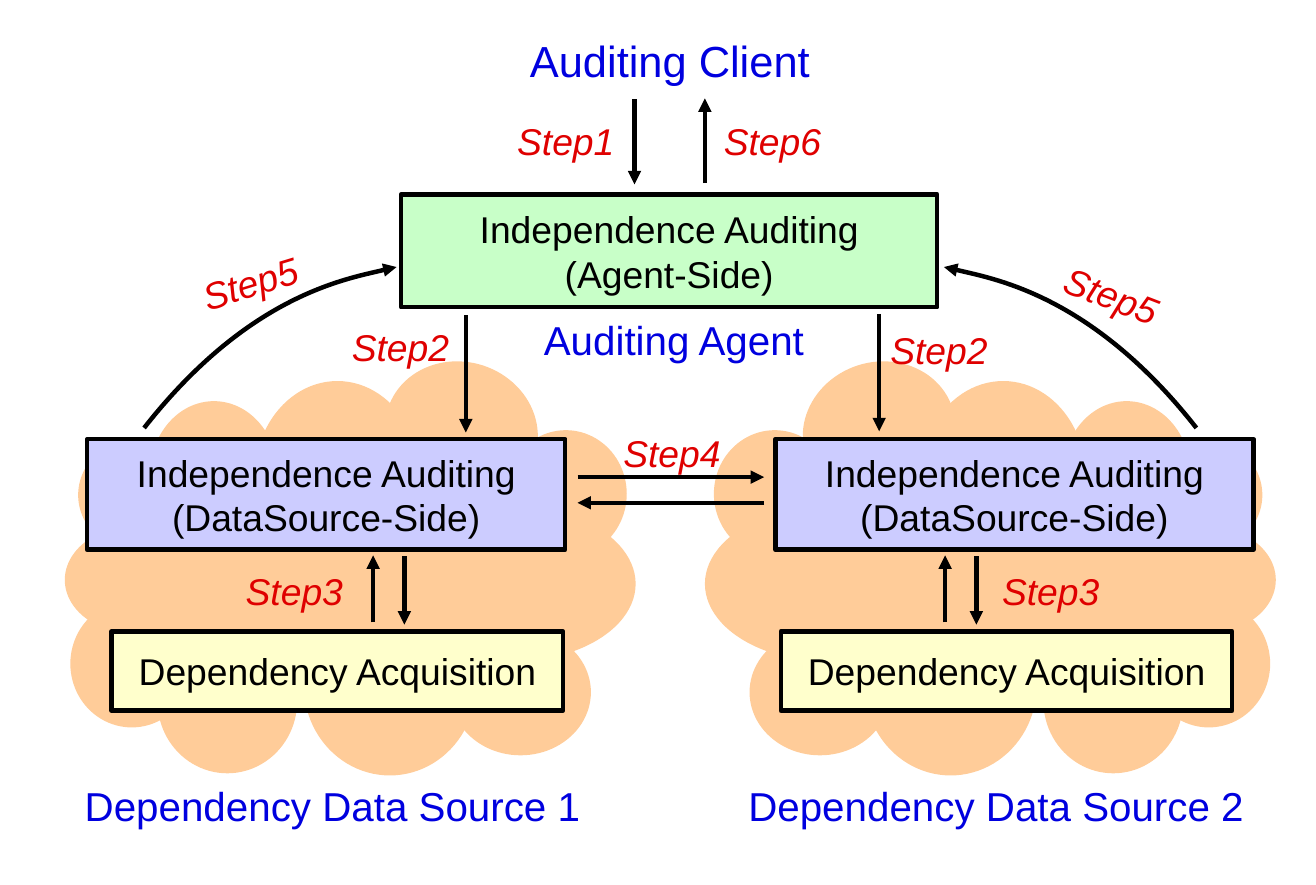
from lxml import etree
from pptx import Presentation
from pptx.dml.color import RGBColor
from pptx.enum.shapes import MSO_CONNECTOR, MSO_SHAPE
from pptx.enum.text import MSO_ANCHOR, PP_ALIGN
from pptx.oxml.ns import qn
from pptx.util import Inches, Pt

STRAIGHT = MSO_CONNECTOR.STRAIGHT
OVAL, RECTANGLE = MSO_SHAPE.OVAL, MSO_SHAPE.RECTANGLE
CENTER, MIDDLE = PP_ALIGN.CENTER, MSO_ANCHOR.MIDDLE

# Every length below counts square grid cells.
CELL = Inches(0.1)
COLUMNS, ROWS = 117.8, 79.2
MIRROR = 120  # left + right column of any mirrored pair

THEME = {
    "font": "Arial",
    "cloud": RGBColor.from_string("FFCC99"),
    "agent": RGBColor.from_string("C8FFC8"),
    "source": RGBColor.from_string("CCCCFF"),
    "acquisition": RGBColor.from_string("FFFFCC"),
    "line": RGBColor.from_string("000000"),
    "line_width": Pt(2.89),
    # text role: size, colour, italic
    "box": (24, RGBColor.from_string("000000"), False),
    "step": (24, RGBColor.from_string("DF0000"), True),
    "client": (28, RGBColor.from_string("0000DF"), False),
    "place": (26, RGBColor.from_string("0000DF"), False),
}


def write_text(shape, text, role):
    size, color, italic = THEME[role]
    shape.text_frame.text = text
    for paragraph in shape.text_frame.paragraphs:
        paragraph.alignment = CENTER
        for run in paragraph.runs:
            run.font.name = THEME["font"]
            run.font.size = Pt(size)
            run.font.italic = italic
            run.font.color.rgb = color


def style_arrow(shape):
    """Give an open line its stroke, an arrowhead at its end and no shadow."""
    shape.line.color.rgb = THEME["line"]
    shape.line.width = THEME["line_width"]
    properties = shape.element.spPr
    etree.SubElement(properties.find(qn("a:ln")), qn("a:tailEnd"), type="triangle")
    etree.SubElement(properties, qn("a:effectLst"))


presentation = Presentation()
presentation.slide_width = round(CELL * COLUMNS)
presentation.slide_height = round(CELL * ROWS)
slide = presentation.slides.add_slide(presentation.slide_layouts[6])

# Clouds: left, top, width, height, rotation of each puff
puffs = [
    (34.8, 45.3, 22.1, 13.9, 0), (22.8, 34.1, 14.8, 17.2, 0),
    (13.4, 35.9, 11.5, 13.3, 0), (27.2, 53.3, 15.4, 16.1, 0),
    (6.3, 53.7, 11, 11.4, 0), (14.1, 56.3, 12.5, 12.9, 180),
    (34.4, 32.4, 13.8, 12.5, 197.9), (5.8, 47.1, 12.5, 9.6, 0),
    (7, 39.5, 9.6, 9.6, 0), (16.4, 45.8, 24.6, 16.1, 0),
    (40.3, 56.3, 12.6, 11.3, 0), (14.7, 52, 8.4, 7.1, 0),
    (24.7, 41.4, 24.6, 16.1, 0), (45.2, 38.5, 10.9, 11.4, 0),
    (10.3, 46.7, 12.5, 9.6, 0),
]
for mirrored in (False, True):
    cloud = slide.shapes.add_group_shape()
    for left, top, width, height, rotation in puffs:
        if mirrored:
            left, rotation = MIRROR - left - width, -rotation
        bounds = [round(CELL * n) for n in (left, top, width, height)]
        puff = cloud.shapes.add_shape(OVAL, *bounds)
        puff.rotation = rotation
        puff.shadow.inherit = False
        puff.fill.solid()
        puff.fill.fore_color.rgb = THEME["cloud"]
        puff.line.fill.background()

# Boxes: text, fill, left, top, width, height
boxes = [
    ("Independence Auditing\n(Agent-Side)", "agent", 35.9, 17.4, 48, 10.1),
    ("Independence Auditing\n(DataSource-Side)", "source", 7.8, 39.3, 42.8, 9.9),
    ("Independence Auditing\n(DataSource-Side)", "source", 69.4, 39.3, 42.8, 9.9),
    ("Dependency Acquisition", "acquisition", 10, 56.5, 40.4, 7.1),
    ("Dependency Acquisition", "acquisition", 69.9, 56.5, 40.4, 7.1),
]
for text, fill, *cells in boxes:
    box = slide.shapes.add_shape(RECTANGLE, *[round(CELL * n) for n in cells])
    box.shadow.inherit = False
    box.fill.solid()
    box.fill.fore_color.rgb = THEME[fill]
    box.line.color.rgb = THEME["line"]
    box.line.width = THEME["line_width"]
    box.text_frame.vertical_anchor = MIDDLE
    write_text(box, text, "box")

# Straight arrows: start column, start row, tip column, tip row
arrows = [
    (56.8, 8.9, 56.8, 16.5), (63.1, 16.4, 63.1, 8.8),
    (41.7, 28.2, 41.7, 38.7), (78.7, 28.1, 78.7, 38.6),
    (51.7, 42.7, 68.4, 42.7), (68.4, 45, 51.7, 45),
]
for up_column in (33.4, 84.6):
    down_column = up_column + 2.8
    arrows += [(up_column, 55.7, up_column, 49.7),
               (down_column, 49.8, down_column, 55.9)]
for cells in arrows:
    arrow = slide.shapes.add_connector(STRAIGHT, *[round(CELL * n) for n in cells])
    style_arrow(arrow)

# Curved arrows from the data sources up to the agent
curve_points = [(12.9, 38.3), (22.4, 26.2), (35.5, 23.9), (35.5, 23.9)]
for mirrored in (False, True):
    points = [(round(CELL * (MIRROR - x if mirrored else x)), round(CELL * y))
              for x, y in curve_points]
    builder = slide.shapes.build_freeform(*points[0], scale=1)
    builder.add_line_segments(points[-1:], close=False)
    curve = builder.convert_to_shape()
    curve.fill.background()
    segment = curve.element.spPr.find(".//" + qn("a:lnTo"))
    bezier = etree.SubElement(segment.getparent(), qn("a:cubicBezTo"))
    segment.getparent().remove(segment)
    for x, y in points[1:]:
        etree.SubElement(bezier, qn("a:pt"), x=str(x - curve.left), y=str(y - curve.top))
    style_arrow(curve)

# Labels: text, role, left, top, width, height, rotation
labels = [
    ("Auditing Client", "client", 37.4, 2.6, 45.1, 7, 0),
    ("Auditing Agent", "place", 47.7, 27.7, 25.3, 5, 0),
    ("Dependency Data Source 1", "place", 6.6, 69.4, 46.4, 5, 0),
    ("Dependency Data Source 2", "place", 66, 69.4, 46.4, 5, 0),
]
steps = [
    (1, 45.3, 10.1, 0), (6, 63.8, 10.1, 0),
    (2, 30.5, 28.5, 0), (2, 78.7, 28.8, 0),
    (3, 21, 50.4, 0), (3, 88.7, 50.4, 0),
    (4, 54.8, 38, 0),
    (5, 17, 22.8, -17), (5, 94.2, 23.9, 21.1),
]
labels += [(f"Step{number}", "step", left, top, 10.7, 4.8, rotation)
           for number, left, top, rotation in steps]
for text, role, *cells, rotation in labels:
    label = slide.shapes.add_textbox(*[round(CELL * n) for n in cells])
    label.rotation = rotation
    label.text_frame.word_wrap = False
    write_text(label, text, role)

presentation.save("out.pptx")
